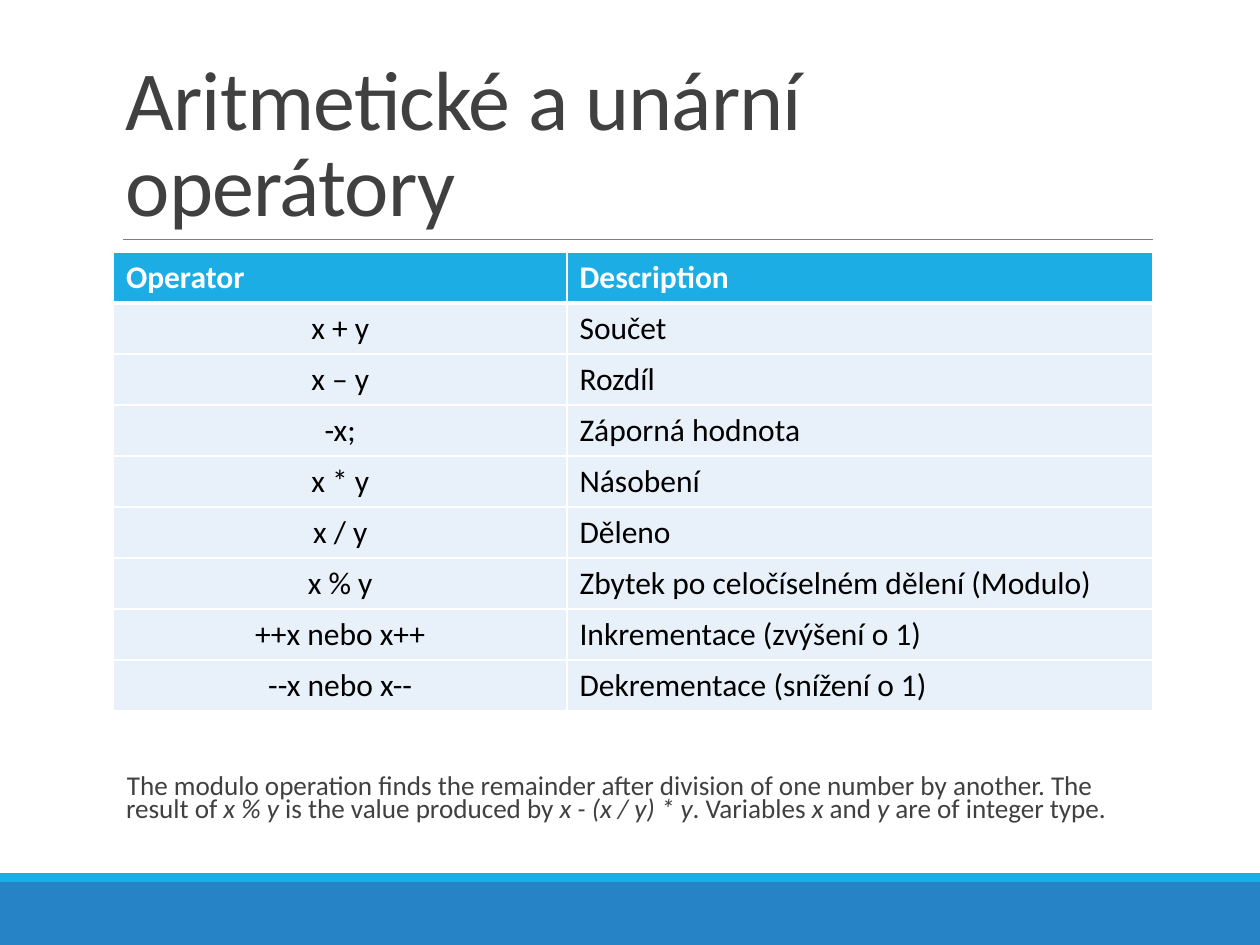
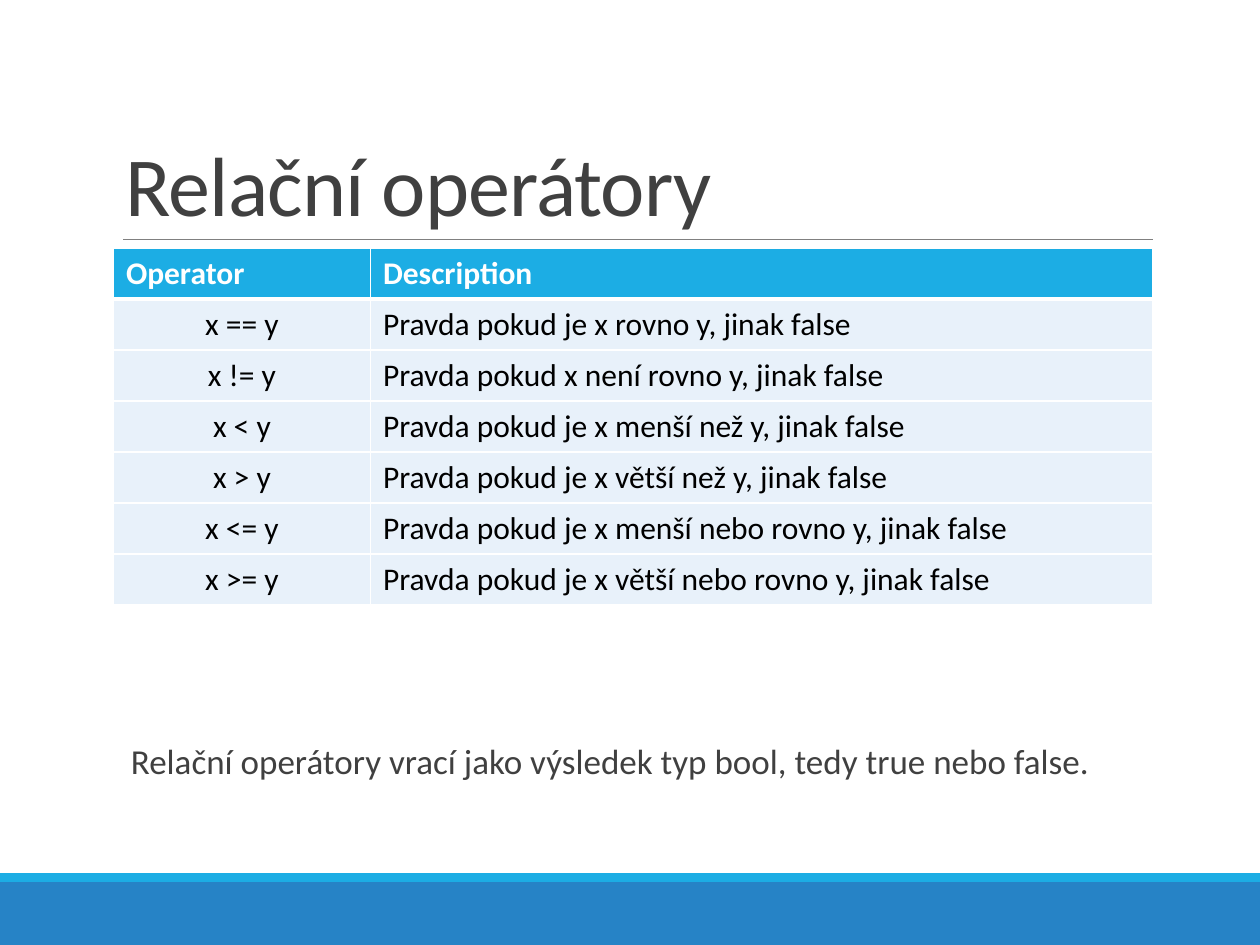
from dataclasses import dataclass

from pptx import Presentation
from pptx.dml.color import RGBColor
from pptx.enum.shapes import MSO_CONNECTOR, MSO_SHAPE
from pptx.enum.text import MSO_ANCHOR, PP_ALIGN
from pptx.oxml.ns import qn
from pptx.util import Pt
from lxml import etree

RECTANGLE = MSO_SHAPE.RECTANGLE
STRAIGHT = MSO_CONNECTOR.STRAIGHT
BOTTOM, MIDDLE = MSO_ANCHOR.BOTTOM, MSO_ANCHOR.MIDDLE
LEFT, CENTER = PP_ALIGN.LEFT, PP_ALIGN.CENTER

WHITE = RGBColor(0xFF, 0xFF, 0xFF)
BLACK = RGBColor(0x00, 0x00, 0x00)
DARK_GRAY = RGBColor(0x40, 0x40, 0x40)
RULE_GRAY = RGBColor(0x80, 0x80, 0x80)
BLUE = RGBColor(0x26, 0x83, 0xC6)
CYAN = RGBColor(0x1C, 0xAD, 0xE4)
PALE_BLUE = RGBColor(0xE8, 0xF1, 0xFA)

FONT = "Calibri"
SLIDE_WIDTH, SLIDE_HEIGHT = 720, 540
CONTENT_LEFT, CONTENT_WIDTH = 64.8, 594
ROW_HEIGHT = 29.15
HEADINGS = ("Operator", "Description")


@dataclass
class Band:
    top: float
    height: float
    color: RGBColor


@dataclass
class Note:
    top: float
    height: float
    size: float
    line_spacing: float
    runs: list[tuple[str, bool]]  # text, italic


@dataclass
class OperatorSlide:
    title: str
    table_top: float
    operator_width: float
    operators: list[tuple[str, str]]
    note: Note


BANDS = [Band(504, 36, BLUE), Band(499, 5, CYAN)]

SLIDES = [
    OperatorSlide(
        "Aritmetické a unární operátory", 144, 259.2,
        [("x + y", "Součet"),
         ("x – y", "Rozdíl"),
         ("-x;", "Záporná hodnota"),
         ("x * y", "Násobení"),
         ("x / y", "Děleno"),
         ("x % y", "Zbytek po celočíselném dělení (Modulo)"),
         ("++x nebo x++", "Inkrementace (zvýšení o 1)"),
         ("--x nebo x--", "Dekrementace (snížení o 1)")],
        Note(440.6, 52, 15.5, 0.7, [
            ("The modulo operation finds the remainder after division of one "
             "number by another. The result of ", False),
            ("x % y ", True),
            ("is the value produced by ", False),
            ("x - (x / y) * y", True),
            (". Variables ", False),
            ("x", True),
            (" and ", False),
            ("y", True),
            (" are of integer type.", False)])),
    OperatorSlide(
        "Relační operátory", 141.8, 146.9,
        [("x == y", "Pravda pokud je x rovno y, jinak false"),
         ("x != y", "Pravda pokud x není rovno y, jinak false"),
         ("x < y", "Pravda pokud je x menší než y, jinak false"),
         ("x > y", "Pravda pokud je x větší než y, jinak false"),
         ("x <= y", "Pravda pokud je x menší nebo rovno y, jinak false"),
         ("x >= y", "Pravda pokud je x větší nebo rovno y, jinak false")],
        Note(422, 56, 20, 0.9, [
            ("Relační operátory vrací jako výsledek typ bool, "
             "tedy true nebo false.", False)])),
]


def add_run(paragraph, text: str, size: float, color: RGBColor,
            bold: bool = False, italic: bool = False):
    run = paragraph.add_run()
    run.text = text
    font = run.font
    font.name, font.size = FONT, Pt(size)
    font.bold, font.italic = bold, italic
    font.color.rgb = color
    return run


def add_text_frame(slide, top: float, height: float):
    box = slide.shapes.add_textbox(Pt(CONTENT_LEFT), Pt(top),
                                   Pt(CONTENT_WIDTH), Pt(height))
    box.text_frame.word_wrap = True
    return box.text_frame


def add_frame(slide) -> None:
    """Draw the footer bands and the rule under the title."""
    for band in BANDS:
        bar = slide.shapes.add_shape(RECTANGLE, 0, Pt(band.top),
                                     Pt(SLIDE_WIDTH), Pt(band.height))
        bar.shadow.inherit = False
        bar.fill.solid()
        bar.fill.fore_color.rgb = band.color
        bar.line.fill.background()
    rule_y = Pt(136.8)
    rule = slide.shapes.add_connector(
        STRAIGHT, Pt(70.5), rule_y, Pt(CONTENT_LEFT + CONTENT_WIDTH), rule_y)
    rule.line.color.rgb = RULE_GRAY
    rule.line.width = Pt(0.5)
    etree.SubElement(rule._element.spPr, qn("a:effectLst"))


def add_title(slide, title: str) -> None:
    frame = add_text_frame(slide, 22.3, 114.5)
    frame.vertical_anchor = BOTTOM
    paragraph = frame.paragraphs[0]
    paragraph.line_spacing = 0.85
    run = add_run(paragraph, title, 48, DARK_GRAY)
    run.font._element.set("spc", "-50")


def add_note(slide, note: Note) -> None:
    frame = add_text_frame(slide, note.top, note.height)
    frame.margin_left = frame.margin_right = 0
    paragraph = frame.paragraphs[0]
    # Blank bullet with a hanging indent
    properties = paragraph._p.get_or_add_pPr()
    properties.set("marL", str(Pt(7.2)))
    properties.set("indent", str(-Pt(7.2)))
    bullet_color = etree.SubElement(properties, qn("a:buClr"))
    etree.SubElement(bullet_color, qn("a:srgbClr"), val=str(CYAN))
    etree.SubElement(properties, qn("a:buChar"), char=" ")
    paragraph.line_spacing = note.line_spacing
    paragraph.space_after = Pt(2)
    for text, italic in note.runs:
        add_run(paragraph, text, note.size, DARK_GRAY, italic=italic)


def set_borders(cell, top: float, bottom: float) -> None:
    properties = cell._tc.get_or_add_tcPr()
    for side, width in (("L", 1), ("R", 1), ("T", top), ("B", bottom)):
        border = etree.SubElement(properties, qn(f"a:ln{side}"), w=str(Pt(width)))
        fill = etree.SubElement(border, qn("a:solidFill"))
        etree.SubElement(fill, qn("a:srgbClr"), val=str(WHITE))


def add_operator_table(slide, content: OperatorSlide) -> None:
    rows = [HEADINGS, *content.operators]
    table = slide.shapes.add_table(
        len(rows), len(HEADINGS), Pt(CONTENT_LEFT), Pt(content.table_top),
        Pt(CONTENT_WIDTH), Pt(ROW_HEIGHT * len(rows))).table
    table.columns[0].width = Pt(content.operator_width)
    table.columns[1].width = Pt(CONTENT_WIDTH - content.operator_width)
    for row_index, texts in enumerate(rows):
        is_header = row_index == 0
        table.rows[row_index].height = Pt(ROW_HEIGHT)
        for column_index, text in enumerate(texts):
            cell = table.cell(row_index, column_index)
            set_borders(cell, top=3 if row_index == 1 else 1,
                        bottom=3 if is_header else 1)
            cell.fill.solid()
            cell.fill.fore_color.rgb = CYAN if is_header else PALE_BLUE
            cell.vertical_anchor = MIDDLE
            paragraph = cell.text_frame.paragraphs[0]
            is_operator = column_index == 0 and not is_header
            paragraph.alignment = CENTER if is_operator else LEFT
            add_run(paragraph, text, 18, WHITE if is_header else BLACK,
                    bold=is_header)


def main() -> None:
    presentation = Presentation()
    presentation.slide_width = Pt(SLIDE_WIDTH)
    presentation.slide_height = Pt(SLIDE_HEIGHT)
    blank_layout = presentation.slide_layouts[6]
    for content in SLIDES:
        slide = presentation.slides.add_slide(blank_layout)
        add_frame(slide)
        add_title(slide, content.title)
        add_note(slide, content.note)
        add_operator_table(slide, content)
    presentation.save("out.pptx")


if __name__ == "__main__":
    main()
